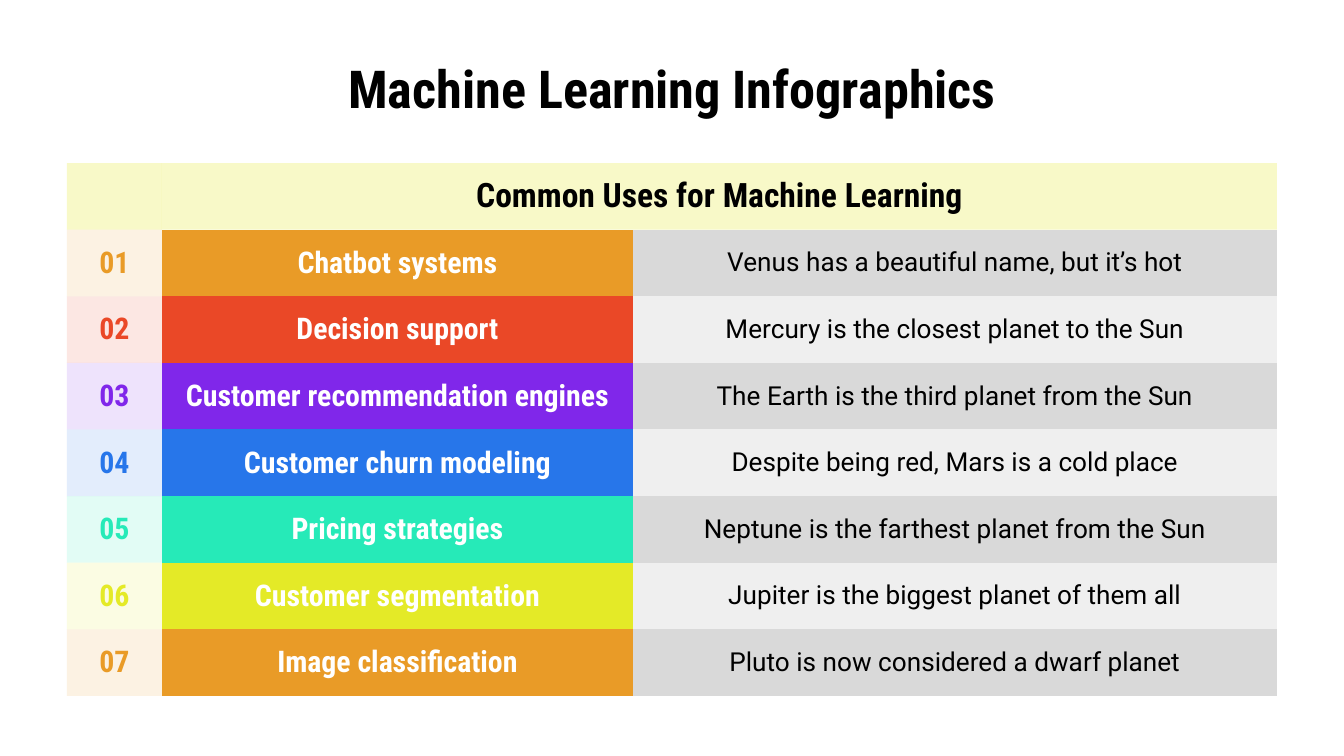
"""Build a slide with a colour-coded table of common uses for machine learning."""
from lxml.etree import SubElement
from pptx import Presentation
from pptx.dml.color import RGBColor
from pptx.enum.text import MSO_ANCHOR as Anchor, PP_ALIGN as Align
from pptx.oxml.ns import qn
from pptx.util import Pt

BLACK = RGBColor(0x00, 0x00, 0x00)
WHITE = RGBColor(0xFF, 0xFF, 0xFF)
ORANGE = RGBColor(0xE9, 0x9B, 0x27)
RED = RGBColor(0xEA, 0x48, 0x27)
PURPLE = RGBColor(0x80, 0x27, 0xEA)
BLUE = RGBColor(0x27, 0x76, 0xEA)
GREEN = RGBColor(0x26, 0xEA, 0xB8)
YELLOW = RGBColor(0xE4, 0xEA, 0x27)
BANDS = RGBColor(0xD9, 0xD9, 0xD9), RGBColor(0xEF, 0xEF, 0xEF)

TITLE = "Machine Learning Infographics"
HEADING = "Common Uses for Machine Learning"
USES = [
    ("Chatbot systems", "Venus has a beautiful name, but it’s hot", ORANGE),
    ("Decision support", "Mercury is the closest planet to the Sun", RED),
    ("Customer recommendation engines", "The Earth is the third planet from the Sun", PURPLE),
    ("Customer churn modeling", "Despite being red, Mars is a cold place", BLUE),
    ("Pricing strategies", "Neptune is the farthest planet from the Sun", GREEN),
    ("Customer segmentation", "Jupiter is the biggest planet of them all", YELLOW),
    ("Image classification", "Pluto is now considered a dwarf planet", ORANGE),
]

SLIDE_SIZE = 1344, 756
TITLE_BOX = 67, 60, 1210, 55
TABLE_BOX = 67, 163, 1210, 533
COLUMNS = 95, 471, 644
INSET = 13
HEADING_TINT, NUMBER_TINT = 25, 13
PLAIN_STYLE = "{2D5ABB26-0587-4C30-8999-92F81FD0307C}"

TITLE_FONT = {"name": "Roboto Condensed", "size": Pt(28), "bold": True}
HEADING_FONT = TITLE_FONT | {"size": Pt(18)}
USE_FONT = TITLE_FONT | {"size": Pt(16)}
DETAIL_FONT = {"name": "Roboto", "size": Pt(14), "bold": False}


def px(length):
    return round(length * 914400 / 134.4)


def set_all(target, values):
    for name, value in values.items():
        setattr(target, name, value)


def write(frame, text, font, color):
    para = frame.paragraphs[0]
    para.alignment = Align.CENTER
    span = para.add_run()
    span.text = text
    set_all(span.font, font)
    span.font.color.rgb = color


def paint(cell, color, opacity=100):
    cell.fill.solid()
    cell.fill.fore_color.rgb = color
    if opacity < 100:
        for node in cell._tc.tcPr.iter(qn("a:srgbClr")):
            SubElement(node, qn("a:alpha"), val=str(opacity * 1000))


def add_title(page):
    box = page.shapes.add_textbox(*map(px, TITLE_BOX))
    set_all(box.text_frame, {"word_wrap": True, "vertical_anchor": Anchor.MIDDLE})
    write(box.text_frame, TITLE, TITLE_FONT, BLACK)


def add_uses(page):
    shape = page.shapes.add_table(len(USES) + 1, len(COLUMNS), *map(px, TABLE_BOX))
    table = shape.table
    set_all(table, {"first_row": False, "horz_banding": False})
    for style in table._tbl.iter(qn("a:tableStyleId")):
        style.text = PLAIN_STYLE
    for column, width in zip(table.columns, COLUMNS):
        column.width = px(width)
    margins = {f"margin_{side}": px(INSET) for side in ("left", "top", "right", "bottom")}
    for cell in table.iter_cells():
        set_all(cell, margins | {"vertical_anchor": Anchor.MIDDLE})

    corner, heading, last = table.rows[0].cells
    heading.merge(last)
    for cell in (corner, heading):
        paint(cell, YELLOW, HEADING_TINT)
    write(heading.text_frame, HEADING, HEADING_FONT, BLACK)

    for row, (use, detail, color) in enumerate(USES, 1):
        parts = [
            (f"{row:02}", USE_FONT, color, color, NUMBER_TINT),
            (use, USE_FONT, WHITE, color, 100),
            (detail, DETAIL_FONT, BLACK, BANDS[(row - 1) % 2], 100),
        ]
        for cell, (text, font, ink, fill, opacity) in zip(table.rows[row].cells, parts):
            write(cell.text_frame, text, font, ink)
            paint(cell, fill, opacity)


def main():
    deck = Presentation()
    deck.slide_width, deck.slide_height = map(px, SLIDE_SIZE)
    page = deck.slides.add_slide(deck.slide_layouts[6])
    add_title(page)
    add_uses(page)
    deck.save("out.pptx")


if __name__ == "__main__":
    main()
